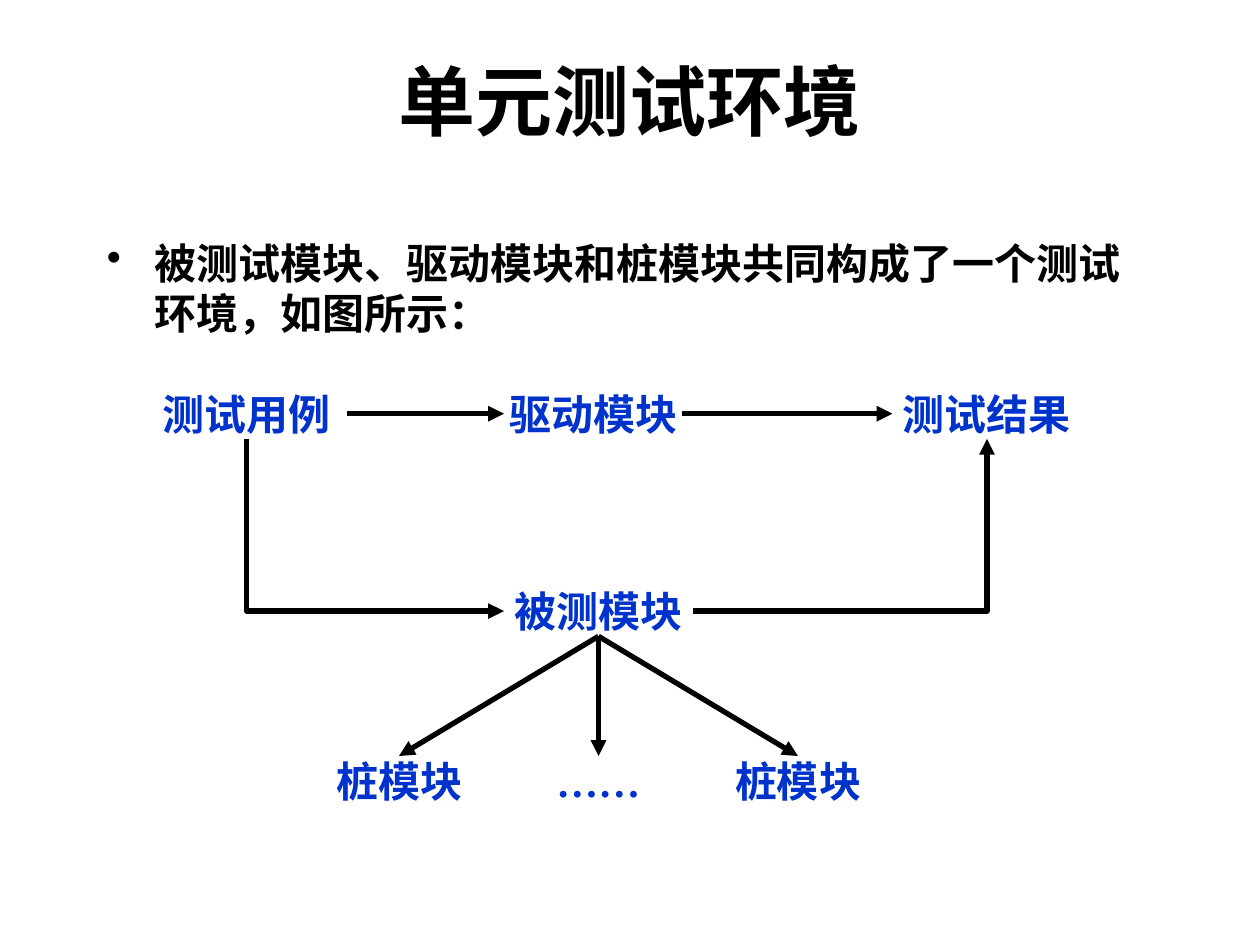
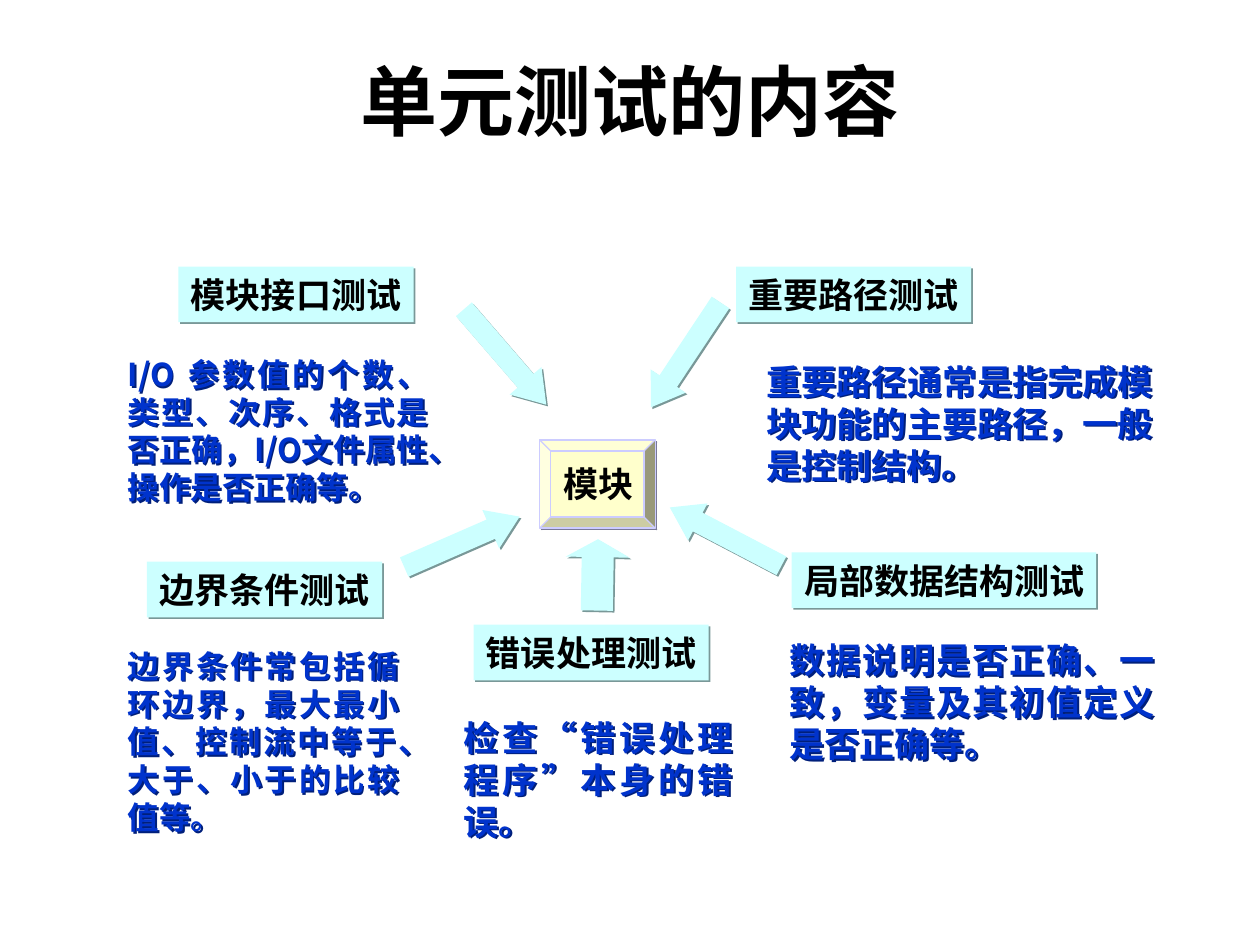
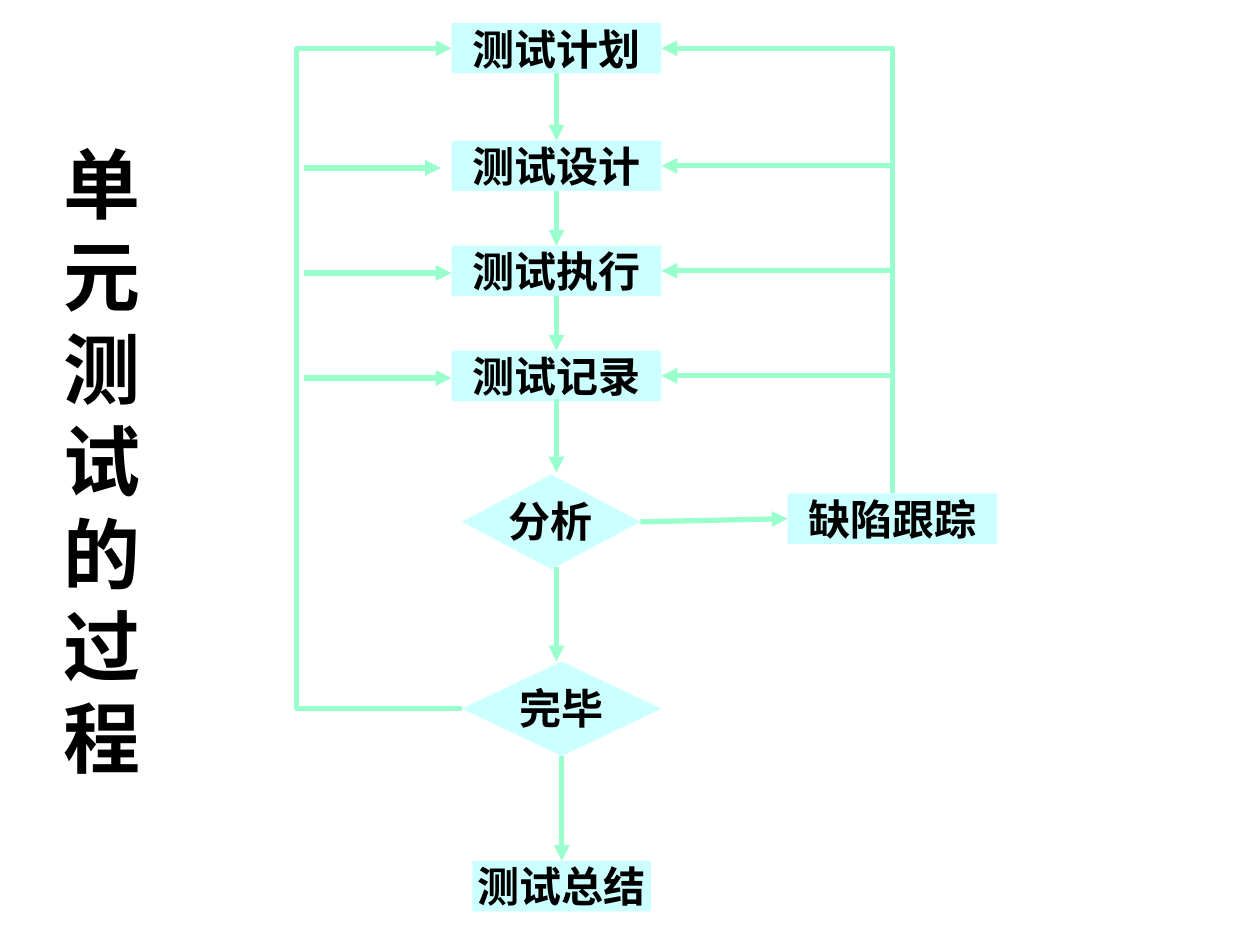
"""Build three slides on unit testing: its environment, its contents and its process."""
import pptx
import pptx.dml.color
import pptx.enum.shapes
import pptx.enum.text
import pptx.oxml
import pptx.oxml.ns
import pptx.util

SHAPE = pptx.enum.shapes.MSO_SHAPE
ALIGN = pptx.enum.text.PP_ALIGN
ANCHOR = pptx.enum.text.MSO_ANCHOR
FIT = pptx.enum.text.MSO_AUTO_SIZE
colour_of = pptx.dml.color.RGBColor.from_string
qualified = pptx.oxml.ns.qn

BLACK, BLUE, CYAN, MINT = "000000", "0033CC", "CCFFFF", "99FFCC"
LATIN, CHINESE = "Times New Roman", "Noto Sans CJK SC"
NO_INSETS = dict.fromkeys(["margin_left", "margin_top", "margin_right", "margin_bottom"], 0)

STYLES = {
    "title": {
        "frame": {"word_wrap": True, "vertical_anchor": ANCHOR.MIDDLE},
        "paragraph": {"alignment": ALIGN.CENTER},
        "font": {"name": LATIN, "size": pptx.util.Pt(44)},
    },
    "body": {
        "frame": {"word_wrap": True, "vertical_anchor": ANCHOR.TOP},
        "paragraph": {"space_before": pptx.util.Pt(6)},
        "font": {"name": LATIN, "size": pptx.util.Pt(24)},
    },
    "node": {
        "frame": {"word_wrap": True, "auto_size": FIT.SHAPE_TO_FIT_TEXT,
                  "vertical_anchor": ANCHOR.TOP, **NO_INSETS},
        "paragraph": {"alignment": ALIGN.CENTER, "space_before": pptx.util.Pt(15)},
        "font": {"name": LATIN, "size": pptx.util.Pt(24)},
    },
    "label": {
        "frame": {"word_wrap": False, "vertical_anchor": ANCHOR.MIDDLE},
        "paragraph": {"alignment": ALIGN.JUSTIFY},
        "font": {"name": CHINESE, "size": pptx.util.Pt(20)},
    },
    "note": {
        "frame": {"word_wrap": True, "auto_size": FIT.SHAPE_TO_FIT_TEXT,
                  "vertical_anchor": ANCHOR.MIDDLE},
        "paragraph": {"alignment": ALIGN.JUSTIFY},
        "font": {"name": CHINESE},
    },
}

presentation = pptx.Presentation()
presentation.slide_width = pptx.util.Inches(10)
presentation.slide_height = pptx.util.Inches(7.5)
CELL = presentation.slide_width / 120


def add_box(slide, area, text="", style="node", colour=BLACK, preset=None,
            fill=CYAN, shadow=None, size=None):
    """Add a text box or a preset shape whose area is given in grid cells."""
    place = [round(length * CELL) for length in area]
    if preset is None:
        shape = slide.shapes.add_textbox(*place)
    else:
        shape = slide.shapes.add_shape(preset, *place)
        shape.fill.solid()
        shape.fill.fore_color.rgb = colour_of(fill)
        shape.line.fill.background()
    shape.shadow.inherit = False
    if shadow:
        effects = shape._element.spPr.find(qualified("a:effectLst"))
        effects.append(pptx.oxml.parse_xml(
            f'<a:outerShdw {pptx.oxml.ns.nsdecls("a")} blurRad="0" dist="17780" dir="2700000">'
            f'<a:srgbClr val="{shadow}"/></a:outerShdw>'))
    if text:
        frame = shape.text_frame
        paragraph = frame.paragraphs[0]
        run = paragraph.add_run()
        run.text = text
        for part, target in (("frame", frame), ("paragraph", paragraph), ("font", run.font)):
            for name, value in STYLES[style][part].items():
                setattr(target, name, value)
        run.font.bold = True
        run.font.color.rgb = colour_of(colour)
        if size:
            run.font.size = pptx.util.Pt(size)
    return shape


def add_arrow(slide, start, end, colour, route="line", via=None):
    """Add an arrow that is straight, bends once, or bends twice at the column via."""
    (left, top), (right, bottom) = start, end
    if route == "down first":
        middle, centre = (left + right) / 2, (top + bottom) / 2
        across, down = (right - left) / 2, (bottom - top) / 2
        left, top, right, bottom = middle + down, centre - across, middle - down, centre + across
    connector = slide.shapes.add_connector(
        pptx.enum.shapes.MSO_CONNECTOR.STRAIGHT,
        *[round(length * CELL) for length in (left, top, right, bottom)])
    connector.line.width = pptx.util.Pt(3)
    connector.line.color.rgb = colour_of(colour)
    properties = connector._element.spPr
    geometry = properties.find(qualified("a:prstGeom"))
    if via is not None:
        geometry.set("prst", "bentConnector3")
        geometry.rewrite_guides([("adj1", round((left - via) / (left - right) * 100000))])
    elif route != "line":
        geometry.set("prst", "bentConnector2")
    if route == "down first":
        properties.find(qualified("a:xfrm")).set("rot", "16200000")
    line = properties.find(qualified("a:ln"))
    line.append(line.makeelement(qualified("a:tailEnd"), {"type": "triangle"}))
    properties.append(properties.makeelement(qualified("a:effectLst"), {}))


slides = []
for title, area in (
    ("单元测试环境", (9, 2, 102, 15)),
    ("单元测试的内容", (9, 2, 102, 15)),
    ("单元测试的过程", (4.2, 4.3, 11, 79)),
):
    slide = presentation.slides.add_slide(presentation.slide_layouts[6])
    add_box(slide, area, title, "title")
    slides.append(slide)
environment, contents, process = slides

body = add_box(environment, (9, 22, 102, 11),
               "被测试模块、驱动模块和桩模块共同构成了一个测试环境，如图所示：", "body")
body_properties = body.text_frame.paragraphs[0]._p.get_or_add_pPr()
body_properties.set("marL", "342900")
body_properties.set("indent", "-342900")
body_properties.append(body_properties.makeelement(qualified("a:buChar"), {"char": "•"}))

for text, left, top, width in (
    ("驱动模块", 48, 37, 17),
    ("被测模块", 48, 55.8, 18),
    ("桩模块", 31, 72, 14),
    ("桩模块", 69, 72, 14),
    ("……", 45, 72, 24),
    ("测试结果", 85, 37, 18),
    ("测试用例", 14, 37, 19),
):
    add_box(environment, (left, top, width, 4.8), text, colour=BLUE)

for start, end, route in (
    ((33, 39.4), (48, 39.4), "line"),
    ((65, 39.4), (85, 39.4), "line"),
    ((23.5, 41.8), (48, 58.2), "down first"),
    ((66, 58.2), (94, 41.8), "across first"),
):
    add_arrow(environment, start, end, BLACK, route)
for stub_column in (38, 57, 76):
    add_arrow(environment, (57, 60.6), (stub_column, 72), BLACK)

module = add_box(contents, (51.4, 41.9, 11, 8.4), "模块", "label",
                 preset=SHAPE.BEVEL, fill="FFFFCC", shadow="797998")
module.text_frame.paragraphs[0].runs[0].font.name = LATIN
module.line.color.rgb = colour_of("CCCCFF")
module.line.width = pptx.util.Pt(0.75)

for text, left, top, width in (
    ("模块接口测试", 17, 25.4, 22.4),
    ("局部数据结构测试", 75.4, 52.6, 29),
    ("重要路径测试", 70.1, 25.4, 22.4),
    ("错误处理测试", 45.1, 59.5, 22.4),
    ("边界条件测试", 14, 53.5, 22.4),
):
    add_box(contents, (left, top, width, 5.3), text, "label",
            preset=SHAPE.RECTANGLE, shadow="799898")

for area, rotation, head in (
    ((42.1, 32, 12, 4), 49.2, 0.75),
    ((38, 49.6, 12, 4), 336.4, 0.75),
    ((63.1, 49.1, 12, 4), 207.6, 0.75),
    ((53.5, 51.7, 6.8, 6.1), 271, 0.28),
    ((59.3, 31.8, 12, 4), 123.6, 0.75),
):
    pointer = add_box(contents, area, preset=SHAPE.RIGHT_ARROW, shadow="799898")
    pointer.rotation = rotation
    pointer.adjustments[1] = head

for text, area, size in (
    ("I/O 参数值的个数、类型、次序、格式是否正确，I/O文件属性、操作是否正确等。",
     (11, 33.2, 31, 15.6), 18),
    ("数据说明是否正确、一致，变量及其初值定义是否正确等。", (74, 60.2, 37.2, 13.2), 20),
    ("检查“错误处理程序”本身的错误。", (43, 67.6, 28, 13.2), 20),
    ("边界条件常包括循环边界，最大最小值、控制流中等于、大于、小于的比较值等。",
     (11, 61, 28.2, 19.2), 18),
    ("重要路径通常是指完成模块功能的主要路径，一般是控制结构。",
     (71.8, 33.7, 39.2, 13.2), 20),
):
    add_box(contents, area, text, "note", BLUE, shadow="001F7A", size=size)

step_tops = [2.2, 13.4, 23.4, 33.4]
for text, left, top, width in (
    *zip(("测试计划", "测试设计", "测试执行", "测试记录"), [43] * 4, step_tops, [20] * 4),
    ("缺陷跟踪", 75, 47, 20),
    ("测试总结", 45, 82, 17),
):
    add_box(process, (left, top, width, 4.8), text, preset=SHAPE.RECTANGLE)

for text, diamond_area, text_area in (
    ("分析", (44, 45.2, 17, 9), (47.5, 47.2, 9.8, 4.8)),
    ("完毕", (44, 63, 19, 9), (48, 65, 11, 4.8)),
):
    add_box(process, diamond_area, preset=SHAPE.DIAMOND)
    add_box(process, text_area, text)

for top, next_top in zip(step_tops, step_tops[1:]):
    add_arrow(process, (53, top + 4.8), (53, next_top), MINT)
for start, end in (
    ((61, 49.7), (75, 49.4)),
    ((53.5, 72), (53.5, 82)),
    ((53, 38), (53, 45)),
    ((53, 54), (53, 63)),
    ((29, 16), (42, 16)),
    ((29, 26), (43, 26)),
    ((29, 36), (43, 36)),
):
    add_arrow(process, start, end, MINT)
add_arrow(process, (44, 67.5), (43, 4.6), MINT, via=28.3)
for top in step_tops:
    add_arrow(process, (85, 47), (63, top + 2.4), MINT, "down first")

presentation.save("out.pptx")
